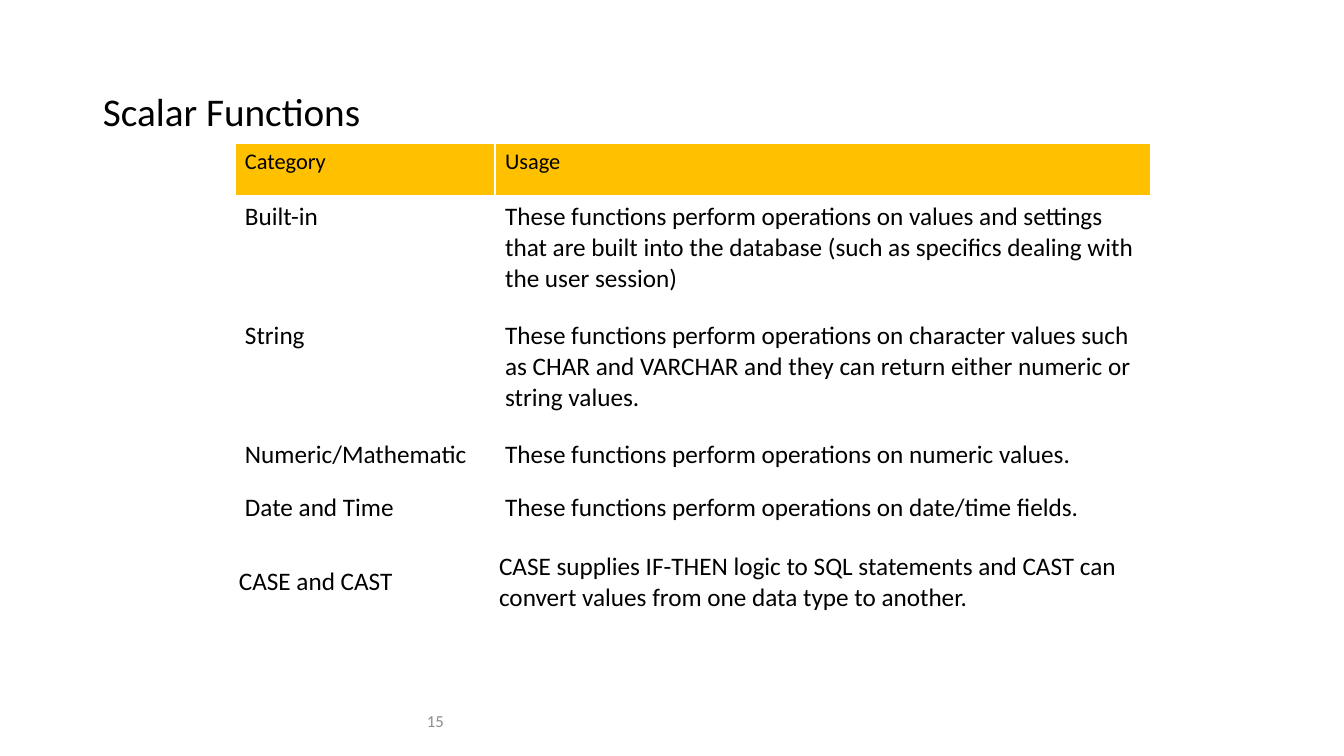
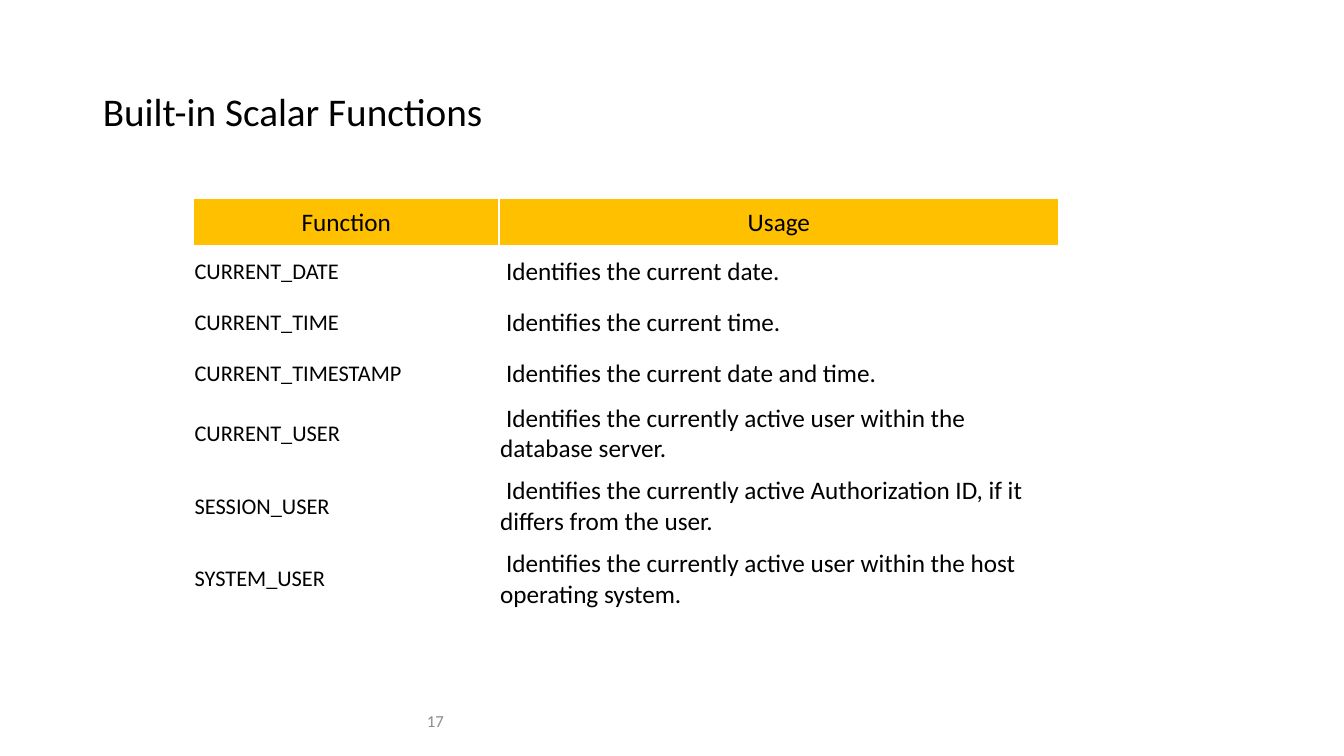
from pptx import Presentation
from pptx.dml.color import RGBColor
from pptx.enum.text import MSO_ANCHOR as Anchor, MSO_AUTO_SIZE as AutoSize, PP_ALIGN as Align
from pptx.oxml.ns import qn
from pptx.util import Inches, Pt
from lxml.etree import SubElement

# Content
SCALAR_ROWS = [
    ("Category", "Usage"),
    ("Built-in", "These functions perform operations on values and settings that are built "
                 "into the database (such as specifics dealing with the user session)"),
    ("String", "These functions perform operations on character values such as CHAR and "
               "VARCHAR and they can return either numeric or string values."),
    ("Numeric/Mathematic", "These functions perform operations on numeric values."),
    ("Date and Time", "These functions perform operations on date/time fields."),
    ("CASE and CAST", "CASE supplies IF-THEN logic to SQL statements and CAST can convert "
                      "values from one data type to another."),
]
BUILT_IN_ROWS = [
    ("Function", "Usage"),
    ("CURRENT_DATE", "Identifies the current date."),
    ("CURRENT_TIME", "Identifies the current time."),
    ("CURRENT_TIMESTAMP", "Identifies the current date and time."),
    ("CURRENT_USER", "Identifies the currently active user within the database server."),
    ("SESSION_USER", "Identifies the currently active Authorization ID, if it differs from "
                     "the user."),
    ("SYSTEM_USER", "Identifies the currently active user within the host operating system."),
]

# Cell layouts: insets (left, top, right, bottom) and vertical anchor
ROOMY = ((0.1, 0.05, 0.1, 0.05), Anchor.TOP)
SNUG = ((0.04, 0.04, 0.04, 0.04), Anchor.MIDDLE)
TIGHT = ((0.01, 0.01, 0.01, 0), Anchor.MIDDLE)

PAGES = [
    dict(title="Scalar Functions", number="15", rows=SCALAR_ROWS,
         left=2.33, top=1.42, widths=(2.58, 6.5),
         heights=(0.53, 1.18, 1.18, 0.53, 0.53, 0.81),
         layouts=[ROOMY] * 5 + [SNUG], header_size=16, header_align=Align.LEFT,
         body_sizes=(18, 18), usage_indent=0),
    dict(title="Built-in Scalar Functions", number="17", rows=BUILT_IN_ROWS,
         left=1.92, top=1.97, widths=(3.03, 5.55),
         heights=(0.48, 0.48, 0.53, 0.48, 0.72, 0.72, 0.72),
         layouts=[TIGHT] * 7, header_size=18, header_align=Align.CENTER,
         body_sizes=(16, 18), usage_indent=0.06),
]

# Shared style
FONT = "Calibri"
COLORS = {"text": "000000", "number": "8C8C8C", "header": "FFC000", "border": "FFFFFF"}


def write(frame, text, size, color="text", align=Align.LEFT, anchor=Anchor.MIDDLE):
    frame.text = text
    frame.word_wrap = True
    frame.vertical_anchor = anchor
    para = frame.paragraphs[0]
    para.alignment = align
    font = para.runs[0].font
    font.name, font.size, font.bold = FONT, Pt(size), False
    font.color.rgb = RGBColor.from_string(COLORS[color])
    return para


def add_borders(cell, bottom_width):
    properties = cell._tc.get_or_add_tcPr()
    for side, width in (("L", 1), ("R", 1), ("T", 1), ("B", bottom_width)):
        line = SubElement(properties, qn(f"a:ln{side}"), w=str(Pt(width)))
        fill = SubElement(line, qn("a:solidFill"))
        SubElement(fill, qn("a:srgbClr"), val=COLORS["border"])


def add_frame(page, title, number):
    heading = page.shapes.title
    heading.left, heading.top = Inches(0.92), Inches(0.4)
    heading.width, heading.height = Inches(11.5), Inches(1.45)
    write(heading.text_frame, title, 28).line_spacing = 0.9
    heading.text_frame.auto_size = AutoSize.NONE

    box = page.shapes.add_textbox(Inches(0), Inches(6.95), Inches(4.5), Inches(0.4))
    write(box.text_frame, number, 12, "number", Align.RIGHT)


def add_function_table(page, data):
    rows, widths, heights = data["rows"], data["widths"], data["heights"]
    table = page.shapes.add_table(
        len(rows), len(widths), Inches(data["left"]), Inches(data["top"]),
        Inches(sum(widths)), Inches(sum(heights))).table
    table.horz_banding = False
    for column, width in zip(table.columns, widths):
        column.width = Inches(width)

    for row_index, texts in enumerate(rows):
        table.rows[row_index].height = Inches(heights[row_index])
        insets, anchor = data["layouts"][row_index]
        is_header = row_index == 0
        for column_index, text in enumerate(texts):
            cell = table.cell(row_index, column_index)
            size = data["header_size"] if is_header else data["body_sizes"][column_index]
            align = data["header_align"] if is_header else Align.LEFT
            para = write(cell.text_frame, text, size, align=align)
            cell.vertical_anchor = anchor
            (cell.margin_left, cell.margin_top,
             cell.margin_right, cell.margin_bottom) = map(Inches, insets)
            # First-line indent of the usage texts
            if column_index == 1 and not is_header and data["usage_indent"]:
                para._p.get_or_add_pPr().set("indent", str(Inches(data["usage_indent"])))
            add_borders(cell, 3 if is_header else 1)
            if is_header:
                cell.fill.solid()
                cell.fill.fore_color.rgb = RGBColor.from_string(COLORS["header"])
            else:
                cell.fill.background()


# Build the deck
deck = Presentation()
deck.slide_width, deck.slide_height = Inches(13.33), Inches(7.5)
title_only = deck.slide_layouts[5]
for page_data in PAGES:
    page = deck.slides.add_slide(title_only)
    add_frame(page, page_data["title"], page_data["number"])
    add_function_table(page, page_data)
deck.save("out.pptx")
